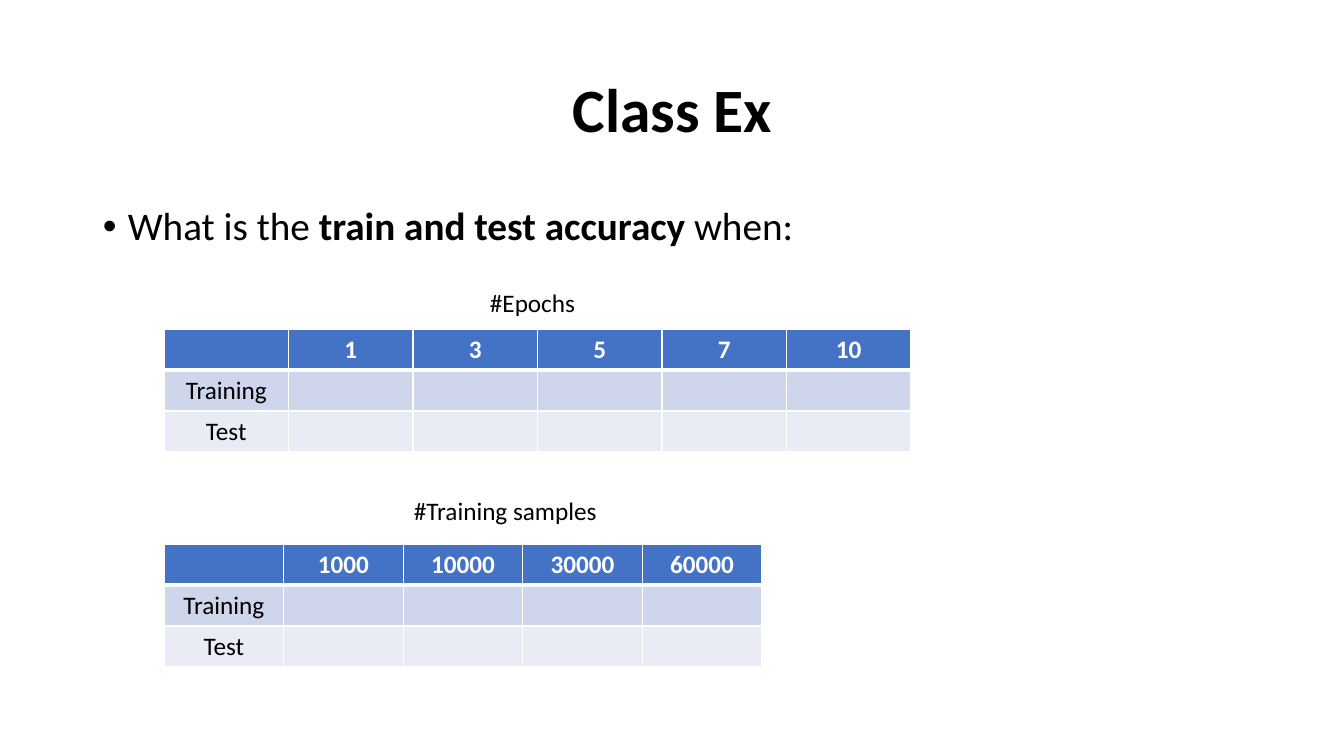
"""Build the class exercise slide with two empty accuracy tables."""
from lxml.etree import SubElement
from pptx import Presentation
from pptx.dml.color import RGBColor
from pptx.enum.text import MSO_ANCHOR, PP_ALIGN
from pptx.oxml.ns import qn
from pptx.util import Pt

TITLE = "Class Ex"
QUESTION = [("What is the ", False), ("train and test accuracy ", True), ("when:", False)]
ROW_LABELS = ["Training", "Test"]
TABLES = [
    {"caption": "#Epochs", "caption_box": (480, 282, 114, 40),
     "table_box": (164, 329, 747, 123), "values": ["1", "3", "5", "7", "10"]},
    {"caption": "#Training samples", "caption_box": (404, 490, 266, 40),
     "table_box": (164, 544, 598, 123), "values": ["1000", "10000", "30000", "60000"]},
]
TITLE_BOX = (93, 40, 1159, 146)
QUESTION_BOX = (93, 202, 1159, 480)
COLORS = {"text": "000000", "white": "FFFFFF", "header": "4472C4",
          "training": "CFD5EA", "test": "E9EBF5"}
ROW_FILLS = ["header", "training", "test"]
FONT = "Calibri"
EMU_PER_PX = 914400 / 100.8


def px(length):
    return round(length * EMU_PER_PX)


def style(paragraph, size, color="text", bold=None):
    font = paragraph.font
    font.name, font.size, font.bold = FONT, Pt(size), bold
    font.color.rgb = RGBColor.from_string(COLORS[color])


def add_text(slide, box, runs, size, bold=None):
    frame = slide.shapes.add_textbox(*map(px, box)).text_frame
    frame.word_wrap = True
    paragraph = frame.paragraphs[0]
    for text, run_bold in runs:
        run = paragraph.add_run()
        run.text = text
        run.font.bold = run_bold
    style(paragraph, size, bold=bold)
    return frame


def add_bullet(paragraph, indent):
    properties = paragraph._p.get_or_add_pPr()
    properties.set("marL", str(indent))
    properties.set("indent", str(-indent))
    bullet_font = SubElement(properties, qn("a:buFont"), typeface="Arial")
    bullet_font.addnext(SubElement(properties, qn("a:buChar"), char="•"))


def set_borders(cell, widths):
    properties = cell._tc.get_or_add_tcPr()
    for side, width in widths.items():
        line = SubElement(properties, qn(f"a:ln{side}"), w=str(Pt(width)))
        fill = SubElement(line, qn("a:solidFill"))
        SubElement(fill, qn("a:srgbClr"), val=COLORS["white"])


def add_accuracy_table(slide, box, values):
    rows = [["", *values]] + [[label] + [""] * len(values) for label in ROW_LABELS]
    table = slide.shapes.add_table(len(rows), len(rows[0]), *map(px, box)).table
    for row_index, row in enumerate(rows):
        is_header = row_index == 0
        widths = {"L": 1, "R": 1, "T": 3 if row_index == 1 else 1, "B": 3 if is_header else 1}
        for column_index, text in enumerate(row):
            cell = table.cell(row_index, column_index)
            set_borders(cell, widths)
            cell.fill.solid()
            cell.fill.fore_color.rgb = RGBColor.from_string(COLORS[ROW_FILLS[row_index]])
            cell.text = text
            paragraph = cell.text_frame.paragraphs[0]
            paragraph.alignment = PP_ALIGN.CENTER
            style(paragraph, 18, "white" if is_header else "text", is_header)


def main():
    presentation = Presentation()
    presentation.slide_width, presentation.slide_height = px(1344), px(756)
    slide = presentation.slides.add_slide(presentation.slide_layouts[6])

    title = add_text(slide, TITLE_BOX, [(TITLE, True)], 44, True)
    title.vertical_anchor = MSO_ANCHOR.MIDDLE
    title.paragraphs[0].alignment = PP_ALIGN.CENTER
    title.paragraphs[0].line_spacing = 0.9

    question = add_text(slide, QUESTION_BOX, [], 28).paragraphs[0]
    question._p.remove(question._p.pPr)
    add_bullet(question, px(25))
    question.line_spacing = 0.9
    for text, bold in QUESTION:
        run = question.add_run()
        run.text = text
        run.font.bold = bold
    style(question, 28)

    for entry in TABLES:
        add_accuracy_table(slide, entry["table_box"], entry["values"])
        add_text(slide, entry["caption_box"], [(entry["caption"], None)], 18)

    presentation.save("out.pptx")


if __name__ == "__main__":
    main()
